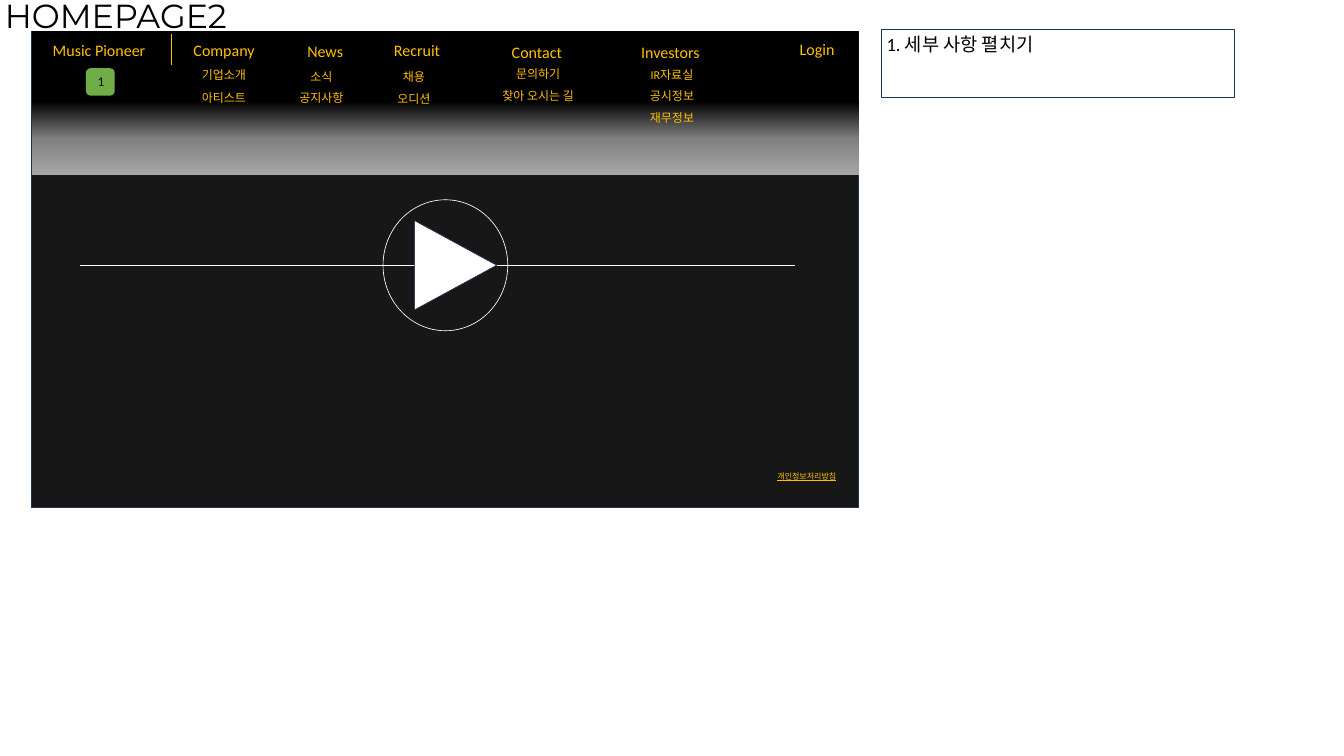
import copy

import pptx
import pptx.dml.color
import pptx.enum.shapes
import pptx.enum.text
import pptx.oxml.ns
import pptx.util
from lxml import etree

Cm = pptx.util.Cm
Pt = pptx.util.Pt
RGBColor = pptx.dml.color.RGBColor
Shape = pptx.enum.shapes.MSO_SHAPE
Align = pptx.enum.text.PP_ALIGN
qn = pptx.oxml.ns.qn

GOLD = RGBColor(0xFF, 0xC0, 0x00)
BLACK = RGBColor(0x00, 0x00, 0x00)
WHITE = RGBColor(0xFF, 0xFF, 0xFF)
CHARCOAL = RGBColor(0x18, 0x17, 0x17)
NAVY = RGBColor(0x1E, 0x32, 0x56)
GREEN = RGBColor(0x70, 0xAD, 0x47)
GREY = RGBColor(0x80, 0x80, 0x80)
SILVER = RGBColor(0xA6, 0xA6, 0xA6)

HEADER_FADE = [(0, BLACK), (0.49, BLACK), (0.75, GREY), (1, SILVER)]

HEADINGS = [
    ("Music Pioneer", 0.86, 0.38, 5.92),
    ("Company", 8.31, 0.38, 4.09),
    ("News", 14.33, 0.46, 2.59),
    ("Recruit", 18.92, 0.41, 2.97),
    ("Contact", 25.15, 0.48, 3.48),
    ("Investors", 32, 0.48, 3.76),
    ("Login", 40.39, 0.33, 2.54),
]

SUBMENUS = [
    (10.17, [("기업소개", 1.83, 4.09), ("아티스트", 3.02, 4.09)]),
    (15.33, [("소식", 1.9, 4.09), ("공지사항", 3.02, 4.09)]),
    (20.22, [("채용", 1.93, 2.97), ("오디션", 3.1, 3.18)]),
    (26.8, [("문의하기", 1.78, 4.01), ("찾아 오시는 길", 2.95, 5.97)]),
    (33.88, [("IR자료실", 1.83, 4.32), ("공시정보", 2.92, 4.01), ("재무정보", 4.11, 4.14)]),
]


def write_text(holder, text, size, color=GOLD, font="Calibri", align=Align.LEFT,
               underline=None, wrap=True):
    """Put one formatted paragraph into a text box or placeholder."""
    frame = holder.text_frame
    frame.word_wrap = wrap
    frame.auto_size = pptx.enum.text.MSO_AUTO_SIZE.NONE
    frame.vertical_anchor = pptx.enum.text.MSO_ANCHOR.TOP
    paragraph = frame.paragraphs[0]
    paragraph.alignment = align
    paragraph.space_before = Pt(0)
    run = paragraph.add_run()
    run.text = text
    run.font.size = Pt(size)
    run.font.name = font
    run.font.color.rgb = color
    run.font.underline = underline
    return paragraph


def move(holder, left, top, width, height):
    """Set the position and size of a placeholder in centimetres."""
    holder.left, holder.top = Cm(left), Cm(top)
    holder.width, holder.height = Cm(width), Cm(height)


def add_label(parent, text, left, top, width, height, **text_format):
    """Add a text box with one formatted paragraph."""
    label = parent.shapes.add_textbox(Cm(left), Cm(top), Cm(width), Cm(height))
    write_text(label, text, **text_format)


def add_figure(parent, preset, left, top, width, height, fill=None, line=None):
    """Add a preset shape without shadow."""
    figure = parent.shapes.add_shape(preset, Cm(left), Cm(top), Cm(width), Cm(height))
    figure.shadow.inherit = False
    if fill is None:
        figure.fill.background()
    else:
        figure.fill.solid()
        figure.fill.fore_color.rgb = fill
    if line is None:
        figure.line.fill.background()
    else:
        figure.line.color.rgb = line
        figure.line.width = Pt(1)
    return figure


def add_rule(slide, x1, y1, x2, y2, color):
    """Add a thin straight line without shadow."""
    rule = slide.shapes.add_connector(
        pptx.enum.shapes.MSO_CONNECTOR.STRAIGHT, Cm(x1), Cm(y1), Cm(x2), Cm(y2))
    rule.line.color.rgb = color
    rule.line.width = Pt(0.5)
    etree.SubElement(rule._element.spPr, qn("a:effectLst"))


def fade_down(figure, stops):
    """Fill a shape with a top-to-bottom gradient."""
    figure.fill.gradient()
    figure.fill.gradient_angle = 270
    stop_list = figure._element.spPr.find(".//" + qn("a:gsLst"))
    while len(stop_list) < len(stops):
        stop_list.append(copy.deepcopy(stop_list[0]))
    for stop, (position, color) in zip(figure.fill.gradient_stops, stops):
        stop.position = position
        stop.color.rgb = color


def build_title(slide, left, top, width, height):
    """Place the page name in the title placeholder."""
    move(slide.shapes.title, left, top, width, height)
    write_text(slide.shapes.title, "HOMEPAGE2", 50, color=BLACK, font="Montserrat")


def build_menu(slide, left, top, width, height):
    """Draw the fading header with its headings, submenus and badge."""
    header = add_figure(slide, Shape.RECTANGLE, left, top, width, height, fill=BLACK)
    fade_down(header, HEADER_FADE)
    for text, x, y, label_width in HEADINGS:
        add_label(slide, text, left + x, top + y, label_width, 1.27, size=24)
    add_rule(slide, left + 7.37, top + 0.18, left + 7.37, top + 1.83, GOLD)
    for centre, items in SUBMENUS:
        for text, y, label_width in items:
            add_label(slide, text, left + centre - label_width / 2, top + y,
                      label_width, 1.02, size=18, align=Align.CENTER)
    badge = slide.shapes.add_group_shape()
    add_figure(badge, Shape.ROUNDED_RECTANGLE, left + 2.87, top + 1.98, 1.52, 1.45,
               fill=GREEN)
    add_label(badge, "1", left + 3.15, top + 2.11, 1.02, 1.4, size=20, color=BLACK,
              align=Align.CENTER, wrap=False)


def build_player(slide, left, top, width, height):
    """Draw the play button centred on its track."""
    middle = top + height / 2
    add_rule(slide, left, middle, left + width, middle, WHITE)
    add_figure(slide, Shape.OVAL, left + 16.05, top, 6.6, height, line=WHITE)
    play = add_figure(slide, Shape.ISOSCELES_TRIANGLE, left + 17.53, middle - 2.17,
                      4.72, 4.34, fill=WHITE, line=NAVY)
    play.rotation = 90


def build_screen(slide, left, top, width, height):
    """Draw the home page screen with menu, player and policy link."""
    add_figure(slide, Shape.RECTANGLE, left, top, width, height, fill=CHARCOAL, line=NAVY)
    build_menu(slide, left, top - 0.05, width, 7.62)
    build_player(slide, left + 2.54, top + 8.89, 37.85, 6.93)
    add_label(slide, "개인정보처리방침", left + 39.21, top + 23.14, 4.17, 0.79,
              size=12, underline=True)


def build_notes_panel(slide, left, top, width, height):
    """Draw the outlined panel that explains the numbered badge."""
    add_figure(slide, Shape.RECTANGLE, left, top, width, height, line=NAVY)
    explanation = slide.placeholders[1]
    move(explanation, left, top + 0.05, 9.7, 1.45)
    paragraph = write_text(explanation, "1. 세부 사항 펼치기", 28, color=BLACK)
    properties = paragraph._p.get_or_add_pPr()
    properties.set("marL", "0")
    properties.set("indent", "0")
    etree.SubElement(properties, qn("a:buNone"))


def main():
    """Build the slide and save it."""
    deck = pptx.Presentation()
    deck.slide_width, deck.slide_height = Cm(71.12), Cm(40)
    slide = deck.slides.add_slide(deck.slide_layouts[1])
    build_title(slide, 0, -0.36, 12.85, 2.39)
    build_screen(slide, 1.68, 1.68, 43.76, 25.17)
    build_notes_panel(slide, 46.66, 1.57, 18.64, 3.56)
    deck.save("out.pptx")


if __name__ == "__main__":
    main()
